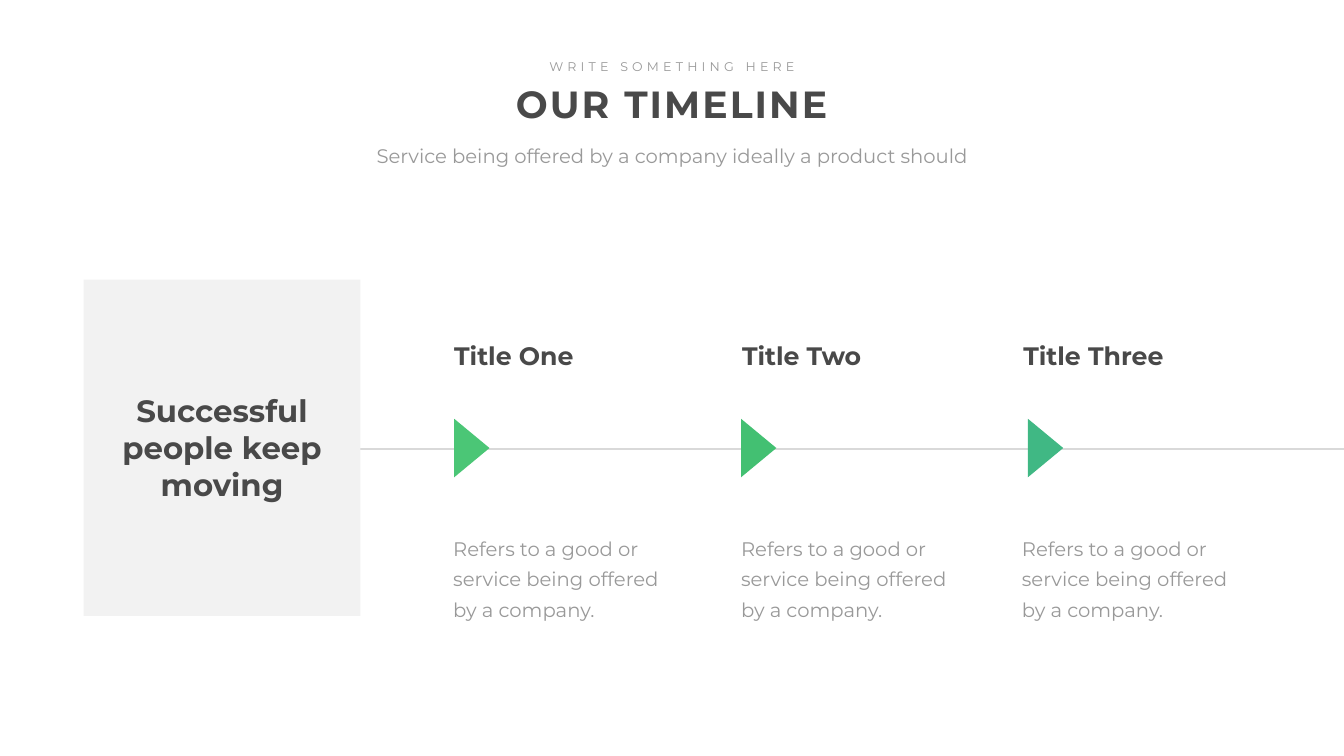
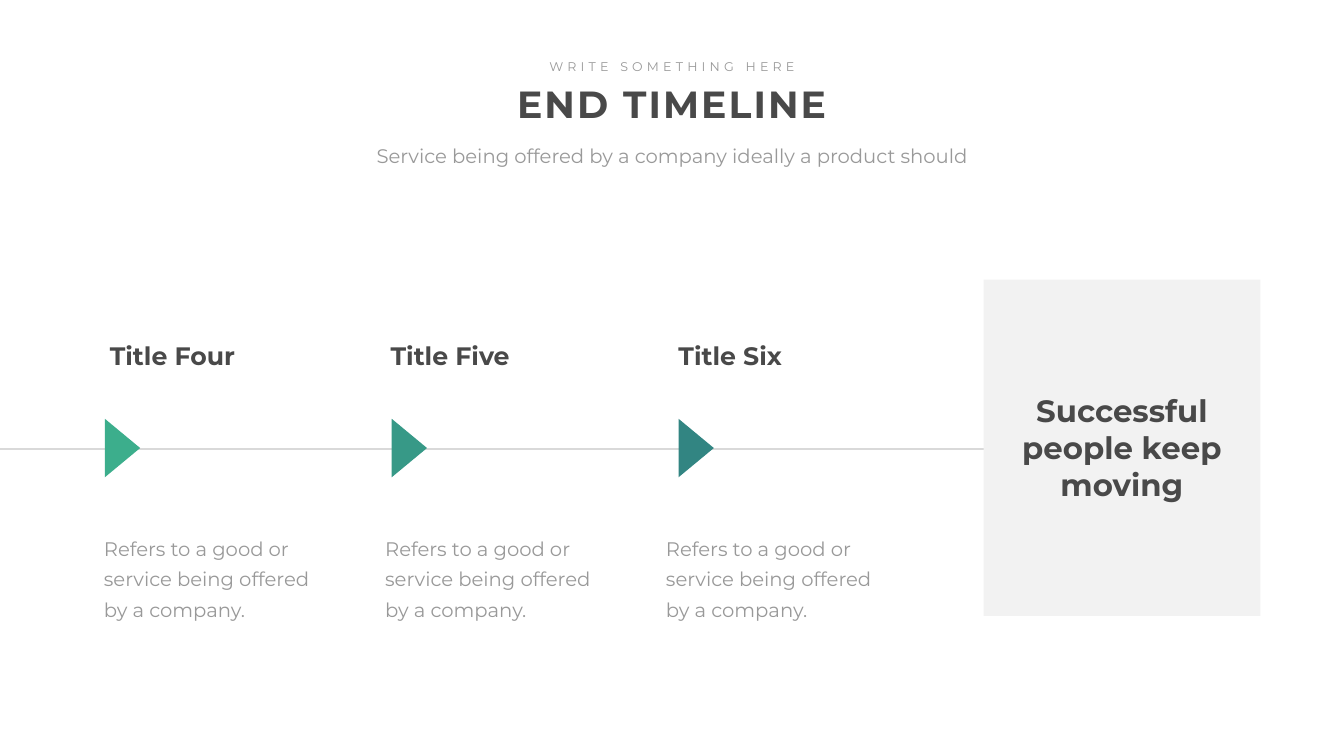
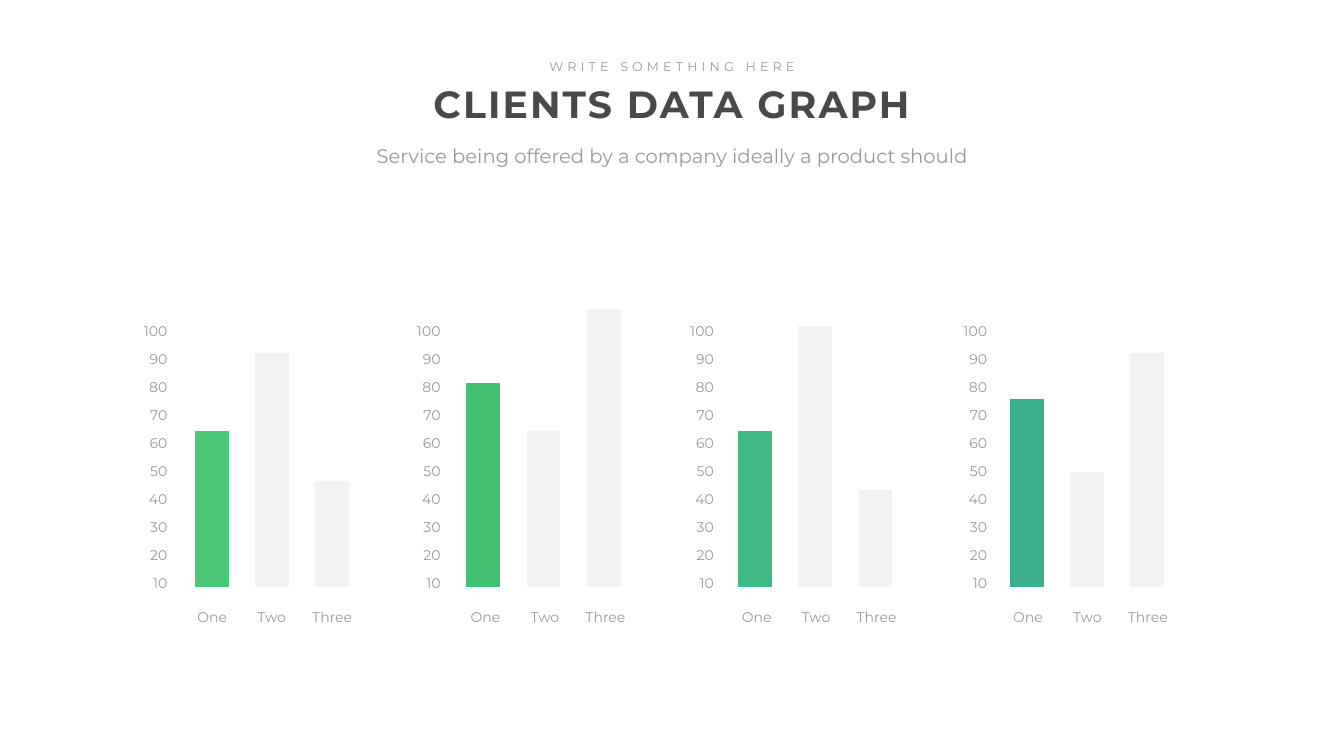
"""Build two timeline slides and a slide of client bar graphs."""
import pptx
import pptx.dml.color
import pptx.enum.shapes
import pptx.enum.text
import pptx.util
from lxml import etree

Inches = pptx.util.Inches
Pt = pptx.util.Pt
SHAPE = pptx.enum.shapes.MSO_SHAPE
ALIGN = pptx.enum.text.PP_ALIGN
DARK, GREY, PALE, RULE, WHITE = "494949", "999999", "F2F2F2", "D9D9D9", "FFFFFF"
GREENS = ["4BC676", "43C072", "40B884", "3CAE8C", "379987", "328582"]
WIDE_INSET, SLIM_INSET = (0.24, 0.12), (0.1, 0.05)

KICKER = {"font": {"size": Pt(18)}, "color": GREY, "spc": 600, "inset": SLIM_INSET,
          "frame": {"word_wrap": False}, "paragraph": {"alignment": ALIGN.CENTER}}
TITLE = {"font": {"size": Pt(54), "bold": True}, "color": DARK, "spc": 300,
         "inset": SLIM_INSET, "paragraph": {"alignment": ALIGN.CENTER}}
SUBTITLE = {"font": {"size": Pt(28)}, "color": GREY, "inset": WIDE_INSET,
            "paragraph": {"alignment": ALIGN.CENTER, "line_spacing": Pt(43)}}
QUOTE = {"font": {"size": Pt(44), "bold": True}, "color": DARK,
         "inset": SLIM_INSET, "paragraph": {"alignment": ALIGN.CENTER}}
STEP_TITLE = {"font": {"size": Pt(36), "bold": True}, "color": DARK,
              "inset": SLIM_INSET, "paragraph": {"alignment": ALIGN.LEFT}}
STEP_BODY = {"font": {"size": Pt(28)}, "color": GREY, "inset": WIDE_INSET,
             "paragraph": {"alignment": ALIGN.LEFT, "line_spacing": Pt(43)}}
SCALE = {"font": {"size": Pt(20)}, "color": GREY, "inset": WIDE_INSET,
         "paragraph": {"alignment": ALIGN.RIGHT, "line_spacing": 1.5}}
BAR_LABEL = SCALE | {"paragraph": {"alignment": ALIGN.CENTER, "line_spacing": 1.5}}


def rgb(value):
    return pptx.dml.color.RGBColor.from_string(value)


def add_text(slide, box, lines, style):
    frame = slide.shapes.add_textbox(*map(Inches, box)).text_frame
    side, edge = map(Inches, style["inset"])
    settings = {"word_wrap": True, "margin_left": side, "margin_right": side,
                "margin_top": edge, "margin_bottom": edge,
                "auto_size": pptx.enum.text.MSO_AUTO_SIZE.SHAPE_TO_FIT_TEXT}
    for key, value in (settings | style.get("frame", {})).items():
        setattr(frame, key, value)
    for index, line in enumerate(lines):
        paragraph = frame.add_paragraph() if index else frame.paragraphs[0]
        for key, value in style["paragraph"].items():
            setattr(paragraph, key, value)
        if index:
            paragraph.space_before = Pt(4)
        run = paragraph.add_run()
        run.text = line
        for key, value in ({"name": "Montserrat"} | style["font"]).items():
            setattr(run.font, key, value)
        run.font.color.rgb = rgb(style["color"])
        if "spc" in style:
            run._r.get_or_add_rPr().set("spc", str(style["spc"]))


deck = pptx.Presentation()
deck.slide_width, deck.slide_height = Inches(26.66), Inches(15)

slides = []
for heading, left, width in [("OUR TIMELINE", 9.61, 7.43), ("END TIMELINE", 9.61, 7.43),
                             ("CLIENTS DATA GRAPH", 7.28, 12.09)]:
    slide = deck.slides.add_slide(deck.slide_layouts[6])
    slide.background.fill.solid()
    slide.background.fill.fore_color.rgb = rgb(WHITE)
    add_text(slide, (left, 1.55, width, 1.01), [heading], TITLE)
    add_text(slide, (10.74, 1.12, 5.18, 0.4), ["WRITE SOMETHING HERE"], KICKER)
    add_text(slide, (6.76, 2.6, 13.14, 0.79),
             ["Service being offered by a company ideally a product should"], SUBTITLE)
    slides.append(slide)

timelines = [
    {"line": (4.96, 26.66), "panel": 1.66, "marker": 8.78, "colors": GREENS[:3],
     "steps": [("Title One", 8.91, 8.75, 4.94), ("Title Two", 14.62, 14.46, 4.81),
               ("Title Three", 20.2, 20.03, 4.81)]},
    {"line": (21.7, 0), "panel": 19.51, "marker": 1.85, "colors": GREENS[3:],
     "steps": [("Title Four", 2.08, 1.82, 4.81), ("Title Five", 7.65, 7.4, 4.81),
               ("Title Six", 13.36, 12.97, 4.94)]},
]
for slide, timeline in zip(slides, timelines):
    start, end = timeline["line"]
    track = slide.shapes.add_connector(pptx.enum.shapes.MSO_CONNECTOR.STRAIGHT,
                                       Inches(start), Inches(8.9), Inches(end), Inches(8.9))
    track.line.color.rgb = rgb(RULE)
    track.line.width = Pt(3)
    etree.SubElement(track._element.spPr, pptx.oxml.ns.qn("a:effectLst"))
    panel = slide.shapes.add_shape(SHAPE.RECTANGLE, Inches(timeline["panel"]), Inches(5.55),
                                   Inches(5.49), Inches(6.67))
    panel.shadow.inherit = False
    panel.fill.solid()
    panel.fill.fore_color.rgb = rgb(PALE)
    panel.line.fill.background()
    add_text(slide, (timeline["panel"] + 0.54, 7.72, 4.41, 2.32),
             ["Successful people keep moving"], QUOTE)
    for index, (name, name_left, body_left, body_width) in enumerate(timeline["steps"]):
        add_text(slide, (body_left, 10.41, body_width, 2),
                 ["Refers to a good or service being offered by a company."], STEP_BODY)
        add_text(slide, (name_left, 6.7, 3.92, 0.71), [name], STEP_TITLE)
        marker = slide.shapes.add_shape(SHAPE.ISOSCELES_TRIANGLE,
                                        Inches(timeline["marker"] + 5.69 * index),
                                        Inches(8.54), Inches(1.16), Inches(0.7))
        marker.rotation = 90
        marker.shadow.inherit = False
        marker.fill.solid()
        marker.fill.fore_color.rgb = rgb(timeline["colors"][index])
        marker.line.fill.background()

BASELINE = 11.65
graph_slide = slides[2]
bar_heights = [(3.11, 4.66, 2.12), (4.06, 3.11, 5.53), (3.11, 5.19, 1.94), (3.75, 2.3, 4.66)]
label_lefts = [3.54, 8.96, 14.34, 19.72]
label_offsets = [("One", 0), ("Two", 1.18), ("Three", 2.38)]
scale_marks = [str(mark) for mark in range(100, 0, -10)]
for graph, (heights, label_left) in enumerate(zip(bar_heights, label_lefts)):
    for index, height in enumerate(heights):
        bar = graph_slide.shapes.add_shape(SHAPE.RECTANGLE,
                                           Inches(3.85 + 5.39 * graph + 2.39 * index / 2),
                                           Inches(BASELINE - height), Inches(0.69),
                                           Inches(height))
        bar.shadow.inherit = False
        bar.fill.solid()
        bar.fill.fore_color.rgb = rgb(PALE if index else GREENS[graph])
        bar.line.color.rgb = rgb(WHITE)
        bar.line.width = Pt(1)
    add_text(graph_slide, (2.34 + 5.42 * graph, 6.12, 1.22, 5.84), scale_marks, SCALE)
    for label, offset in label_offsets:
        add_text(graph_slide, (label_left + offset, 11.79, 1.34, 0.69), [label], BAR_LABEL)

deck.save("out.pptx")
